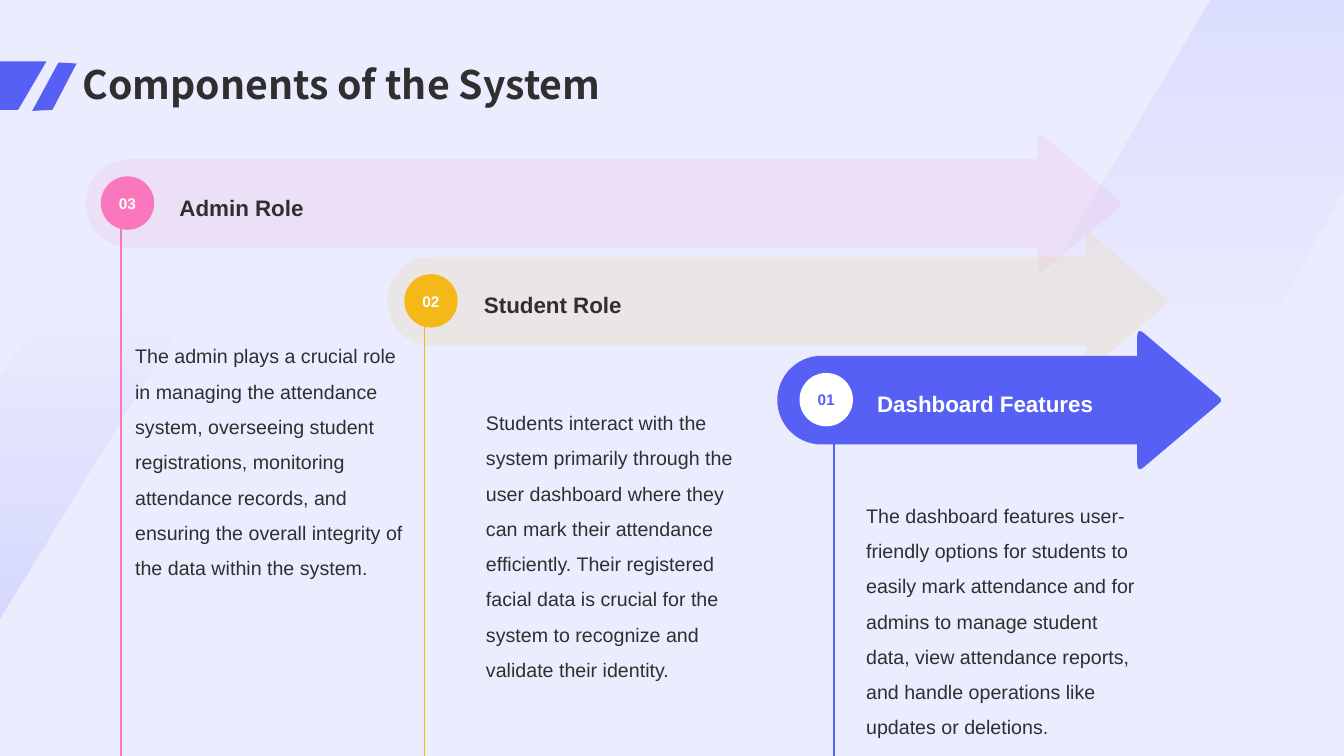
from dataclasses import dataclass
from math import cos, hypot, pi, sin

from lxml.etree import SubElement
from pptx import Presentation
from pptx.dml.color import RGBColor
from pptx.enum.shapes import MSO_CONNECTOR, MSO_SHAPE
from pptx.enum.text import MSO_ANCHOR, MSO_AUTO_SIZE, PP_ALIGN
from pptx.oxml.ns import qn
from pptx.shapes.autoshape import Shape
from pptx.slide import Slide
from pptx.text.text import TextFrame
from pptx.util import Inches, Pt

Point = tuple[float, float]


@dataclass(frozen=True)
class Theme:
    background: str = "EBECFE"
    left_band: str = "ABB1FC"
    right_band: str = "ADB3FD"
    ink: str = "2F2F2F"
    white: str = "FFFFFF"
    pink: str = "FA77BE"
    yellow: str = "F4B919"
    blue: str = "5660F4"
    title_font: str = "Noto Sans CJK SC"
    text_font: str = "Arial"
    title_size: int = 28
    heading_size: int = 16
    body_size: int = 14
    badge_size: int = 11
    stem_width: float = 1.25


THEME = Theme()


@dataclass(frozen=True)
class Band:
    """Slanted background band with stops of (position, opacity %)."""
    outline: list[Point]
    color: str
    stops: list[tuple[float, int]]


@dataclass(frozen=True)
class Component:
    number: str
    heading: str
    body: str
    color: str
    badge_fill: str
    badge_ink: str
    heading_ink: str
    opacity: int
    middle: float
    tail: float
    neck: float
    tip: float
    stem: Point
    badge_left: float
    heading_left: float
    heading_width: float
    body_at: Point
    body_height: float


BANDS = [
    Band([(-0.37, 4.27), (0.49, 3.03), (1.9, 3.03), (-0.38, 6.76)],
         THEME.left_band, [(0, 0), (1, 40)]),
    Band([(12, 0), (13.33, 0), (13.33, 1.85), (11.97, 4.39), (9.42, 4.39)],
         THEME.right_band, [(0, 24), (0.76, 0)]),
]

TITLE_MARKS: list[list[Point]] = [
    [(0.32, 1.1), (0.58, 0.62), (0.76, 0.63), (0.52, 1.09)],
    [(0.46, 0.61), (-0.36, 0.61), (-0.36, 1.09), (0.18, 1.09)],
]

COMPONENTS = [
    Component(
        "03", "Admin Role",
        "The admin plays a crucial role in managing the attendance system, "
        "overseeing student registrations, monitoring attendance records, and "
        "ensuring the overall integrity of the data within the system.",
        THEME.pink, THEME.pink, THEME.white, THEME.ink, opacity=10,
        middle=2.02, tail=0.85, neck=10.29, tip=11.14, stem=(1.2, 2.13),
        badge_left=1, heading_left=1.66, heading_width=8.59,
        body_at=(1.22, 3.18), body_height=2.01),
    Component(
        "02", "Student Role",
        "Students interact with the system primarily through the user dashboard "
        "where they can mark their attendance efficiently. Their registered "
        "facial data is crucial for the system to recognize and validate their "
        "identity.",
        THEME.yellow, THEME.yellow, THEME.white, THEME.ink, opacity=10,
        middle=2.99, tail=3.84, neck=10.77, tip=11.6, stem=(4.21, 3.12),
        badge_left=4.01, heading_left=4.68, heading_width=6.35,
        body_at=(4.7, 3.84), body_height=2.36),
    Component(
        "01", "Dashboard Features",
        "The dashboard features user-friendly options for students to easily "
        "mark attendance and for admins to manage student data, view attendance "
        "reports, and handle operations like updates or deletions.",
        THEME.blue, THEME.white, THEME.blue, THEME.white, opacity=100,
        middle=3.97, tail=7.71, neck=11.28, tip=12.13, stem=(8.27, 4.01),
        badge_left=7.93, heading_left=8.58, heading_width=3.36,
        body_at=(8.47, 4.76), body_height=2.01),
]


def rgb(color: str) -> RGBColor:
    return RGBColor.from_string(color)


def set_opacity(shape: Shape, opacities: list[int]) -> None:
    colors = list(shape._element.spPr.iter(qn("a:srgbClr")))
    for color, opacity in zip(colors, opacities):
        SubElement(color, qn("a:alpha")).set("val", str(opacity * 1000))


def finish(shape: Shape, color: str) -> Shape:
    shape.shadow.inherit = False
    shape.line.fill.background()
    shape.fill.solid()
    shape.fill.fore_color.rgb = rgb(color)
    return shape


def add_outline(slide: Slide, points: list[Point], color: str) -> Shape:
    corners = [(Inches(x), Inches(y)) for x, y in points]
    builder = slide.shapes.build_freeform(*corners[0])
    builder.add_line_segments(corners[1:], close=True)
    return finish(builder.convert_to_shape(), color)


def write(frame: TextFrame, text: str, size: int, color: str, bold: bool = False,
          font: str = THEME.text_font, spacing: float = 1.0,
          align: PP_ALIGN = PP_ALIGN.LEFT) -> None:
    frame.text = text
    frame.word_wrap = True
    paragraph = frame.paragraphs[0]
    paragraph.alignment = align
    paragraph.line_spacing = spacing
    style = paragraph.runs[0].font
    style.name, style.size, style.bold = font, Pt(size), bold
    style.color.rgb = rgb(color)


def add_text_box(slide: Slide, left: float, top: float, width: float,
                 height: float) -> TextFrame:
    frame = slide.shapes.add_textbox(*map(Inches, (left, top, width, height))).text_frame
    frame.margin_left = frame.margin_right = Inches(0.12)
    frame.margin_top = frame.margin_bottom = Inches(0.12)
    frame.auto_size = MSO_AUTO_SIZE.SHAPE_TO_FIT_TEXT
    return frame


def rounded(before: Point, corner: Point, after: Point, cut: float) -> list[Point]:
    """Points of a quadratic curve that replaces a sharp corner."""
    def toward(end: Point) -> Point:
        share = cut / hypot(end[0] - corner[0], end[1] - corner[1])
        return tuple(c + (e - c) * share for c, e in zip(corner, end))

    start, end = toward(before), toward(after)
    return [tuple((1 - t) ** 2 * s + 2 * t * (1 - t) * c + t * t * e
                  for s, c, e in zip(start, corner, end))
            for t in (step / 8 for step in range(9))]


def arrow_outline(part: Component) -> list[Point]:
    radius, head = 0.44, 0.72
    tail_curve = [(part.tail + radius * (1 - sin(a)), part.middle + radius * cos(a))
                  for a in (pi * step / 32 for step in range(33))]
    neck_top = (part.neck, part.middle - radius)
    neck_bottom = (part.neck, part.middle + radius)
    top, bottom = (part.neck, part.middle - head), (part.neck, part.middle + head)
    tip = (part.tip, part.middle)
    return [*tail_curve, neck_top, *rounded(neck_top, top, tip, 0.09),
            *rounded(top, tip, bottom, 0.05),
            *rounded(tip, bottom, neck_bottom, 0.09), neck_bottom]


def add_component(slide: Slide, part: Component) -> None:
    # Stem down to the slide's lower edge
    x, y = part.stem
    stem = slide.shapes.add_connector(
        MSO_CONNECTOR.STRAIGHT, *map(Inches, (x, y, x, 7.5)))
    stem.line.color.rgb = rgb(part.color)
    stem.line.width = Pt(THEME.stem_width)
    SubElement(stem._element.spPr, qn("a:effectLst"))

    # Description
    body = add_text_box(slide, *part.body_at, 2.92, part.body_height)
    write(body, part.body, THEME.body_size, THEME.ink, spacing=1.5)

    # Arrow, number badge and heading
    arrow = add_outline(slide, arrow_outline(part), part.color)
    if part.opacity < 100:
        set_opacity(arrow, [part.opacity])
    badge = finish(slide.shapes.add_shape(MSO_SHAPE.OVAL, *map(
        Inches, (part.badge_left, part.middle - 0.27, 0.53, 0.53))), part.badge_fill)
    badge.text_frame.vertical_anchor = MSO_ANCHOR.MIDDLE
    write(badge.text_frame, part.number, THEME.badge_size, part.badge_ink, bold=True,
          align=PP_ALIGN.CENTER)
    heading = add_text_box(slide, part.heading_left, part.middle - 0.22,
                           part.heading_width, 0.51)
    heading.vertical_anchor = MSO_ANCHOR.MIDDLE
    write(heading, part.heading, THEME.heading_size, part.heading_ink, bold=True)


def main() -> None:
    prs = Presentation()
    prs.slide_width, prs.slide_height = Inches(13.33), Inches(7.5)
    slide = prs.slides.add_slide(prs.slide_layouts.get_by_name("Title Only"))

    # Background and bands
    slide.background.fill.solid()
    slide.background.fill.fore_color.rgb = rgb(THEME.background)
    for band in BANDS:
        shape = add_outline(slide, band.outline, band.color)
        shape.fill.gradient()
        shape.fill.gradient_angle = 270
        for stop, (position, _) in zip(shape.fill.gradient_stops, band.stops):
            stop.position, stop.color.rgb = position, rgb(band.color)
        set_opacity(shape, [opacity for _, opacity in band.stops])

    # Title with its marks
    for mark in TITLE_MARKS:
        add_outline(slide, mark, THEME.blue)
    title = slide.shapes.title
    title.left, title.top, title.width, title.height = map(Inches, (0.72, 0, 11.88, 1.12))
    title.text_frame.vertical_anchor = MSO_ANCHOR.BOTTOM
    write(title.text_frame, "Components of the System", THEME.title_size, THEME.ink,
          bold=True, font=THEME.title_font, spacing=0.9)

    # Components, from back to front
    for part in COMPONENTS:
        add_component(slide, part)
    prs.save("out.pptx")


if __name__ == "__main__":
    main()
